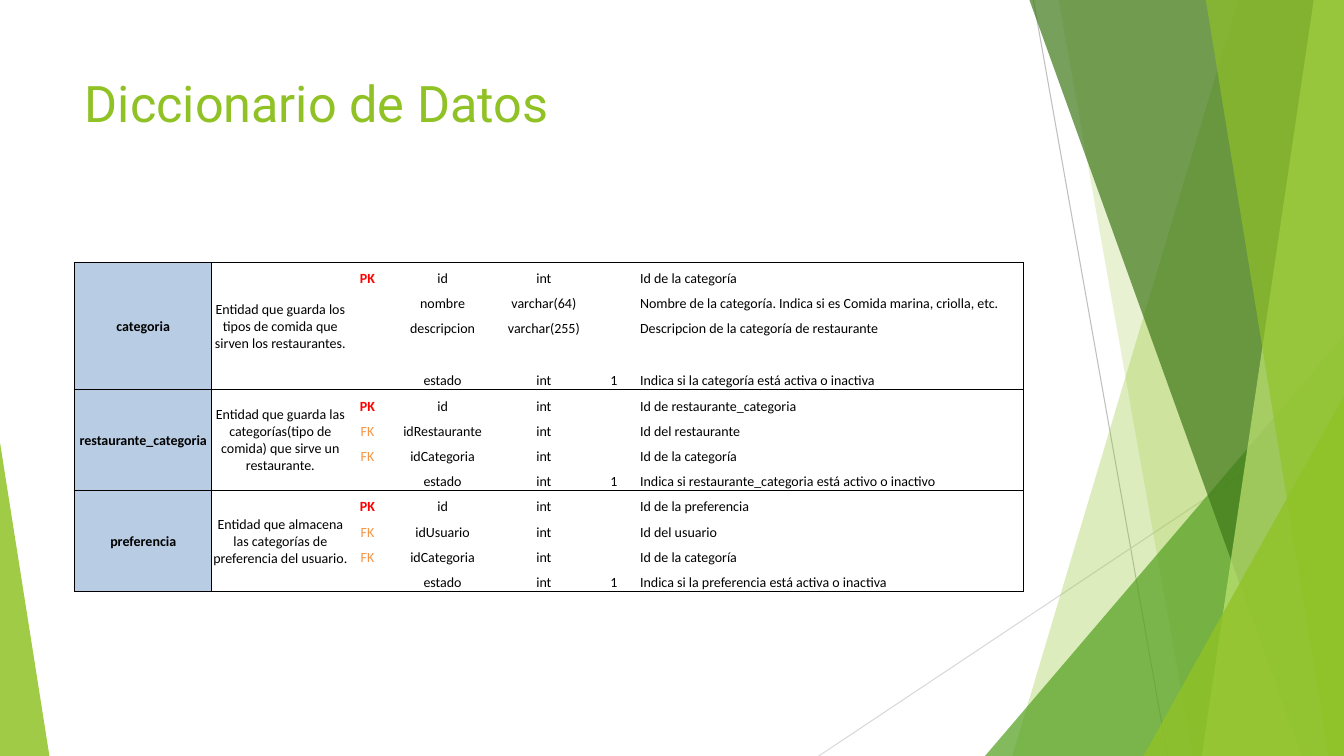
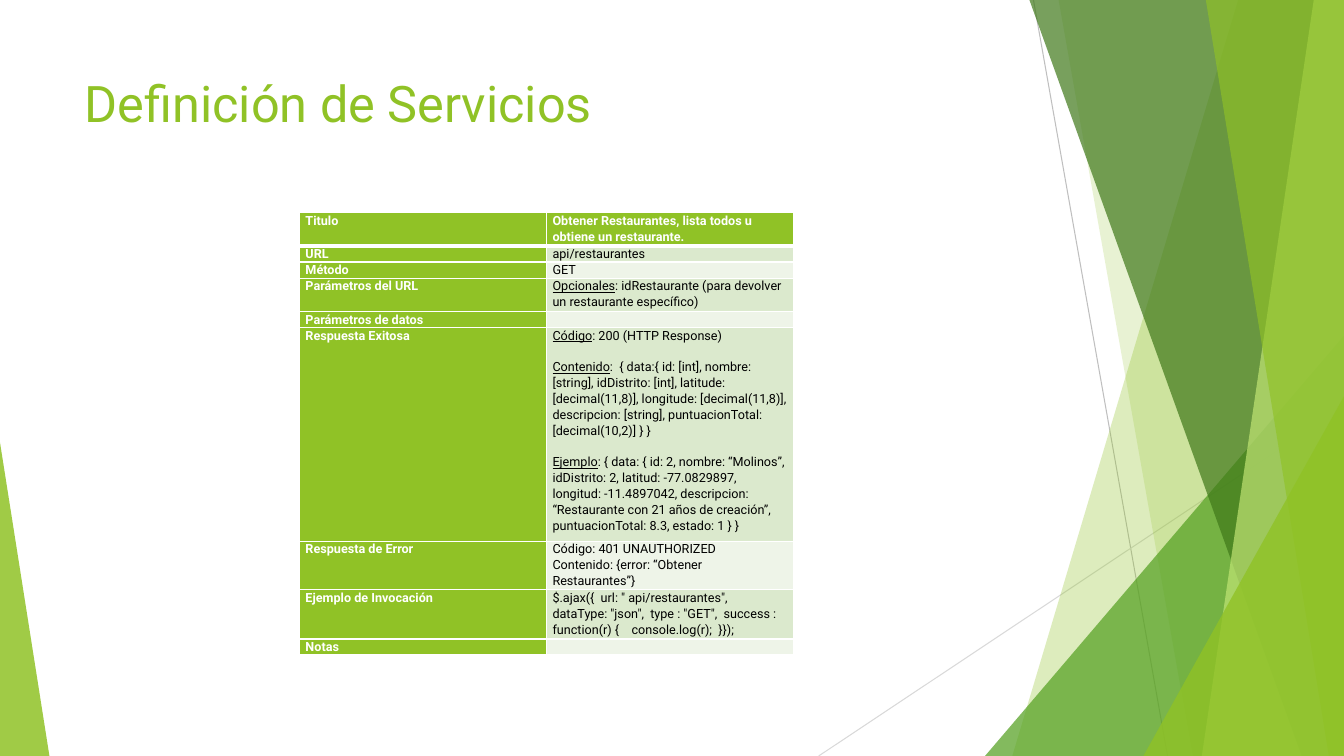
from lxml.etree import SubElement as Sub
from pptx import Presentation
from pptx.dml.color import RGBColor
from pptx.enum.shapes import MSO_CONNECTOR as Link, MSO_SHAPE as Shape
from pptx.enum.text import MSO_ANCHOR as Anchor, PP_ALIGN as Align
from pptx.oxml.ns import qn
from pptx.util import Inches, Pt

WIDE, HIGH = 13.33, 7.5
LIME = RGBColor(0x90, 0xC2, 0x26)
GREEN = RGBColor(0x54, 0xA0, 0x21)
FOREST = RGBColor(0x3F, 0x78, 0x19)
PALE = RGBColor(0xC0, 0xE4, 0x74)
MINT = RGBColor(0xDB, 0xE9, 0xCD)
MIST = RGBColor(0xEE, 0xF4, 0xE8)
BLUE = RGBColor(0xB8, 0xCC, 0xE4)
RED = RGBColor(0xFF, 0x00, 0x00)
ORANGE = RGBColor(0xF7, 0x96, 0x46)
GRAY = RGBColor(0xBF, 0xBF, 0xBF)
SILVER = RGBColor(0xD9, 0xD9, 0xD9)
BLACK = RGBColor(0x00, 0x00, 0x00)
WHITE = RGBColor(0xFF, 0xFF, 0xFF)

ENTITIES = [
    ("categoria", "Entidad que guarda los tipos de comida que sirven los restaurantes.", [
        ("PK", "id", "int", "", "Id de la categoría"),
        ("", "nombre", "varchar(64)", "",
         "Nombre de la categoría. Indica si es Comida marina, criolla, etc."),
        ("", "descripcion", "varchar(255)", "", "Descripcion de la categoría de restaurante"),
        ("", "estado", "int", "1", "Indica si la categoría está activa o inactiva")]),
    ("restaurante_categoria",
     "Entidad que guarda las categorías(tipo de comida) que sirve un restaurante.", [
         ("PK", "id", "int", "", "Id de restaurante_categoria"),
         ("FK", "idRestaurante", "int", "", "Id del restaurante"),
         ("FK", "idCategoria", "int", "", "Id de la categoría"),
         ("", "estado", "int", "1", "Indica si restaurante_categoria está activo o inactivo")]),
    ("preferencia", "Entidad que almacena las categorías de preferencia del usuario.", [
        ("PK", "id", "int", "", "Id de la preferencia"),
        ("FK", "idUsuario", "int", "", "Id del usuario"),
        ("FK", "idCategoria", "int", "", "Id de la categoría"),
        ("", "estado", "int", "1", "Indica si la preferencia está activa o inactiva")]),
]

SERVICE = [
    (0.33, "Titulo", "Obtener Restaurantes, lista todos u obtiene un restaurante."),
    (0.16, "URL", "api/restaurantes"),
    (0.16, "Método", "GET"),
    (0.33, "Parámetros del URL",
     "Opcionales|: idRestaurante (para devolver un restaurante específico)"),
    (0.16, "Parámetros de datos", ""),
    (2.12, "Respuesta Exitosa",
     "Código|: 200 (HTTP Response)\n"
     "Contenido|:  { data:{ id: [int], nombre: [string], idDistrito: [int], "
     "latitude: [decimal(11,8)], longitude: [decimal(11,8)], descripcion: [string], "
     "puntuacionTotal: [decimal(10,2)] } }\n"
     "Ejemplo|: { data: { id: 2, nombre: “Molinos”, idDistrito: 2, latitud: -77.0829897, "
     "longitud: -11.4897042, descripcion: “Restaurante con 21 años de creación”, "
     "puntuacionTotal: 8.3, estado: 1 } }"),
    (0.48, "Respuesta de Error",
     "Código: 401 UNAUTHORIZED\nContenido: {error: “Obtener Restaurantes”}"),
    (0.49, "Ejemplo de Invocación",
     '$.ajax({  url: " api/restaurantes",  dataType: "json",  type : "GET",  '
     'success : function(r) {    console.log(r);  }});'),
    (0.16, "Notas", ""),
]


class Deck:
    """Holds the shared style and the current slide."""

    def __init__(self):
        self.prs = Presentation()
        self.prs.slide_width, self.prs.slide_height = Inches(WIDE), Inches(HIGH)
        self.layout = self.prs.slide_layouts[5]
        for item in list(self.layout.placeholders):
            if item.placeholder_format.idx:
                item.element.getparent().remove(item.element)
            else:
                item.left, item.top = Inches(0.74), Inches(0.67)
                item.width, item.height = Inches(9.4), Inches(1.44)
        self.slide = None

    def open(self, title):
        """Start a slide with its title."""
        self.slide = self.prs.slides.add_slide(self.layout)
        frame = self.slide.shapes.title.text_frame
        frame.text = title
        frame.vertical_anchor = Anchor.TOP
        para = frame.paragraphs[0]
        para.alignment = Align.LEFT
        self.style(para.runs[0], "Roboto", 36, LIME)

    def style(self, run, face, size, color, bold=False):
        """Format one run."""
        font = run.font
        font.name, font.size, font.bold = face, Pt(size), bold
        font.color.rgb = color

    def line(self, start, end, color):
        """Draw a thin straight line."""
        link = self.slide.shapes.add_connector(
            Link.STRAIGHT, *map(Inches, start), *map(Inches, end))
        link.line.color.rgb, link.line.width = color, Pt(0.75)
        Sub(link.element.spPr, qn("a:effectLst"))
        return link

    def tint(self, shape, color, alpha):
        """Fill a shape with a see-through colour."""
        shape.shadow.inherit = False
        shape.line.fill.background()
        shape.fill.solid()
        shape.fill.fore_color.rgb = color
        node = shape.element.spPr.find(qn("a:solidFill")).find(qn("a:srgbClr"))
        Sub(node, qn("a:alpha"), val=str(alpha * 1000))
        return shape

    def pane(self, top, foot, color, alpha):
        """Draw a full-height pane that ends at the right edge."""
        path = self.slide.shapes.build_freeform(Inches(top), 0)
        spots = [(WIDE, 0), (WIDE, HIGH), (foot, HIGH)]
        path.add_line_segments([(Inches(x), Inches(y)) for x, y in spots])
        return self.tint(path.convert_to_shape(), color, alpha)

    def wedge(self, left, top, width, peak, color, alpha):
        """Draw a triangle that stands on the bottom edge."""
        shape = self.slide.shapes.add_shape(
            Shape.ISOSCELES_TRIANGLE, *map(Inches, (left, top, width, HIGH - top)))
        shape.adjustments[0] = peak
        return self.tint(shape, color, alpha)

    def dress(self):
        """Draw the green facets and hand them to the layout."""
        facets = [
            self.line((10.25, 0), (11.58, HIGH), GRAY),
            self.line((WIDE, 4.03), (8.12, HIGH), SILVER),
            self.pane(12.28, 10.04, LIME, 30),
            self.pane(10.5, 11.83, LIME, 20),
            self.wedge(9.77, 3.33, 3.56, 1, GREEN, 72),
            self.pane(10.21, 12.91, FOREST, 70),
            self.pane(13.03, 11.92, PALE, 70),
            self.pane(11.96, 13.18, LIME, 65),
            self.wedge(11.34, 3.93, 1.99, 1, LIME, 80),
            self.wedge(0, 4.39, 0.49, 0, LIME, 85),
        ]
        for facet in facets:
            self.layout.shapes.element.append(facet.element)

    def table(self, left, top, cols, rows):
        """Add a plain table with the given column widths and row heights."""
        table = self.slide.shapes.add_table(
            len(rows), len(cols), *map(Inches, (left, top, sum(cols), sum(rows)))).table
        table.first_row = table.horz_banding = False
        for col, width in zip(table.columns, cols):
            col.width = Inches(width)
        for row, height in zip(table.rows, rows):
            row.height = Inches(height)
        return table

    def edge(self, cell, sides, color):
        """Set the borders of a cell from a map of side to width."""
        props = cell._tc.get_or_add_tcPr()
        for side in "LRTB":
            node = Sub(props, qn("a:ln" + side), w=str(Pt(sides.get(side, 0))))
            if side in sides:
                Sub(Sub(node, qn("a:solidFill")), qn("a:srgbClr"), val=str(color))
            else:
                Sub(node, qn("a:noFill"))

    def cell(self, cell, text, face, size, color=BLACK, bold=False, fill=None,
             align=Align.LEFT, anchor=Anchor.TOP, inset=(0, 0), space=1):
        """Write a cell; a bar ends the underlined lead of a paragraph."""
        cell.margin_left = cell.margin_right = Inches(inset[0])
        cell.margin_top, cell.margin_bottom = Inches(inset[1]), 0
        cell.vertical_anchor = anchor
        if fill is None:
            cell.fill.background()
        else:
            cell.fill.solid()
            cell.fill.fore_color.rgb = fill
        cell.text_frame.text = text
        for rank, para in enumerate(cell.text_frame.paragraphs):
            lead, bar, rest = para.text.partition("|")
            para.alignment, para.line_spacing = align, space
            if bar:
                para.text = lead
                para.runs[0].font.underline = True
                para.add_run().text = rest
                para.space_before = Pt(11.3 if rank else 0)
            for run in para.runs:
                self.style(run, face, size, color, bold)
        for node in cell._tc.iter(qn("a:p")):
            Sub(node, qn("a:endParaRPr"), sz=str(size * 100))

    def entities(self):
        """Add the data dictionary table."""
        rows = [0.25] * 12
        rows[3] = 0.51
        table = self.table(0.74, 2.6, [1.36, 1.36, 0.37, 1.12, 0.89, 0.5, 3.81], rows)
        inks = {"PK": RED, "FK": ORANGE}
        for group, (name, about, fields) in enumerate(ENTITIES):
            for step, field in enumerate(fields):
                row = group * 4 + step
                head = (name, about) if step == 0 else ("", "")
                for col, text in enumerate(head + field):
                    cell = table.cell(row, col)
                    sides = {"L": col < 2, "R": col in (0, 6), "T": step == 0,
                             "B": step == 3 or (step == 0 and col < 2)}
                    self.edge(cell, {side: 0.5 for side, on in sides.items() if on}, BLACK)
                    self.cell(cell, text, "Calibri", 10, inks.get(text, BLACK),
                              col == 0 or text == "PK", BLUE if col == 0 else None,
                              Align.LEFT if col == 6 else Align.CENTER,
                              Anchor.MIDDLE if col < 2 else Anchor.BOTTOM, (0.01, 0.01))
            for col in (0, 1):
                table.cell(group * 4, col).merge(table.cell(group * 4 + 3, col))

    def service(self):
        """Add the service definition table."""
        table = self.table(2.97, 2.11, [2.45, 2.45], [item[0] for item in SERVICE])
        for row, item in enumerate(SERVICE):
            for col, text in enumerate(item[1:]):
                cell = table.cell(row, col)
                sides = dict.fromkeys("LRTB", 1)
                if row < 2:
                    sides["T" if row else "B"] = 3
                self.edge(cell, sides, WHITE)
                head = row == 0 or col == 0
                fill = LIME if head else MINT if row % 2 else MIST
                self.cell(cell, text, "Roboto", 9, WHITE if head else BLACK, head, fill,
                          inset=(0.06, 0), space=1.07)


def main():
    deck = Deck()
    deck.open("Diccionario de Datos")
    deck.dress()
    deck.entities()
    deck.open("Definición de Servicios")
    deck.service()
    deck.prs.save("out.pptx")


if __name__ == "__main__":
    main()
